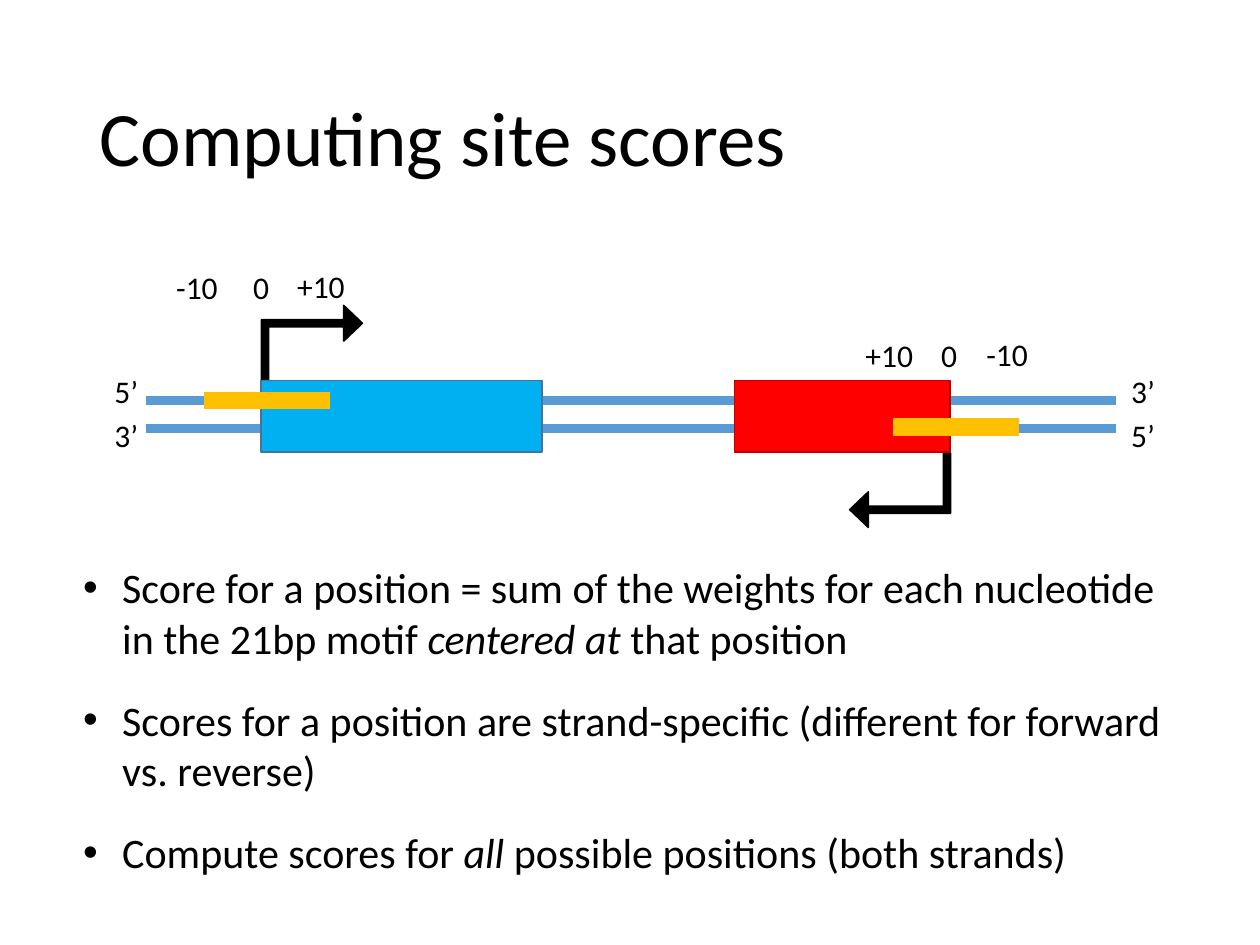
from lxml import etree
from pptx import Presentation
from pptx.dml.color import RGBColor
from pptx.enum.shapes import MSO_CONNECTOR as Connector, MSO_SHAPE as Shape
from pptx.enum.text import MSO_ANCHOR as Anchor, MSO_AUTO_SIZE as AutoSize, PP_ALIGN as Align
from pptx.oxml.ns import qn
from pptx.util import Inches, Pt

FONT = "Calibri"
HEADING = "Computing site scores"
POINTS = [
    [("Score for a position = sum of the weights for each nucleotide in the 21bp motif ", False),
     ("centered at", True), (" that position", False)],
    [("Scores for a position are strand-specific (different for forward vs. reverse)", False)],
    [("Compute scores for ", False), ("all ", True), ("possible positions (both strands)", False)],
]
STRAND_YS = (3.18, 3.4)
MOTIFS = [(1.62, 3.18), (7.09, 3.39)]
MOTIF_LENGTH = 1
GENES = [(2.07, 2.23, "00B0F0", "43739E"), (5.83, 1.71, "FF0000", "C00000")]
GENE_TOP, GENE_HEIGHT = 3.02, 0.57
START_ARROWS = [(2.18, 2.32, 270), (6.85, 3.49, 90)]
ARROW_ADJUSTMENTS = (0.095, 0.238, 0.25)
POSITIONS = [
    ("-10", 1.3, 2.08), ("0", 1.91, 2.08), ("+10", 2.26, 2.07),
    ("+10", 6.77, 2.62), ("0", 7.37, 2.62), ("-10", 7.73, 2.61),
]
STRAND_ENDS = [
    ("5’", 0.81, 2.9), ("3’", 0.81, 3.25),
    ("3’", 8.88, 2.9), ("5’", 8.88, 3.25),
]


def color(value):
    return RGBColor.from_string(value)


def place(part, *box):
    part.left, part.top, part.width, part.height = map(Inches, box)


def style(run, size, italic=False):
    run.font.name, run.font.size, run.font.italic = FONT, Pt(size), italic
    run.font.color.rgb = color("000000")


def add_strand(x1, x2, y, stroke, width):
    strand = slide.shapes.add_connector(
        Connector.STRAIGHT, Inches(x1), Inches(y), Inches(x2), Inches(y))
    strand.line.color.rgb = color(stroke)
    strand.line.width = Pt(width)
    etree.SubElement(strand._element.spPr, qn("a:effectLst"))


def add_block(kind, box, fill, stroke):
    block = slide.shapes.add_shape(kind, *map(Inches, box))
    block.shadow.inherit = False
    block.fill.solid()
    block.fill.fore_color.rgb = color(fill)
    block.line.color.rgb = color(stroke)
    block.line.width = Pt(1)
    return block


def add_label(words, left, top):
    width = 0.32 if words == "0" else 0.6
    label = slide.shapes.add_textbox(*map(Inches, (left, top, width, 0.4))).text_frame
    label.word_wrap = True
    label.text = words
    style(label.paragraphs[0].runs[0], 18)


deck = Presentation()
deck.slide_width, deck.slide_height = Inches(10), Inches(7.5)
slide = deck.slides.add_slide(deck.slide_layouts[1])

title = slide.shapes.title
place(title, 0.69, 0.4, 8.62, 1.45)
title.text_frame.text = HEADING
title.text_frame.vertical_anchor = Anchor.MIDDLE
title.text_frame.auto_size = AutoSize.NONE
heading = title.text_frame.paragraphs[0]
heading.alignment = Align.LEFT
heading.line_spacing = 0.9
style(heading.runs[0], 44)

body = slide.placeholders[1]
place(body, 0.56, 4.41, 8.91, 2.63)
body.text_frame.auto_size = AutoSize.NONE
for index, point in enumerate(POINTS):
    paragraph = body.text_frame.add_paragraph() if index else body.text_frame.paragraphs[0]
    paragraph.space_before = Pt(18)
    properties = paragraph._p.get_or_add_pPr()
    properties.set("marL", str(Inches(0.31)))
    properties.set("indent", str(-Inches(0.31)))
    etree.SubElement(properties, qn("a:buFont")).set("typeface", "Arial")
    etree.SubElement(properties, qn("a:buChar")).set("char", "•")
    for words, italic in point:
        run = paragraph.add_run()
        run.text = words
        style(run, 24, italic)

for y in STRAND_YS:
    add_strand(1.16, 8.86, y, "5B9BD5", 5)

for left, top, rotation in START_ARROWS:
    arrow = add_block(Shape.BENT_UP_ARROW, (left, top, 0.59, 0.8), "000000", "000000")
    for index, value in enumerate(ARROW_ADJUSTMENTS):
        arrow.adjustments[index] = value
    arrow.rotation = rotation
    arrow._element.spPr.xfrm.set("flipV", "1")

for left, width, fill, stroke in GENES:
    add_block(Shape.RECTANGLE, (left, GENE_TOP, width, GENE_HEIGHT), fill, stroke)

for left, y in MOTIFS:
    add_strand(left, left + MOTIF_LENGTH, y, "FFC000", 10)

for label in POSITIONS + STRAND_ENDS:
    add_label(*label)

deck.save("out.pptx")
